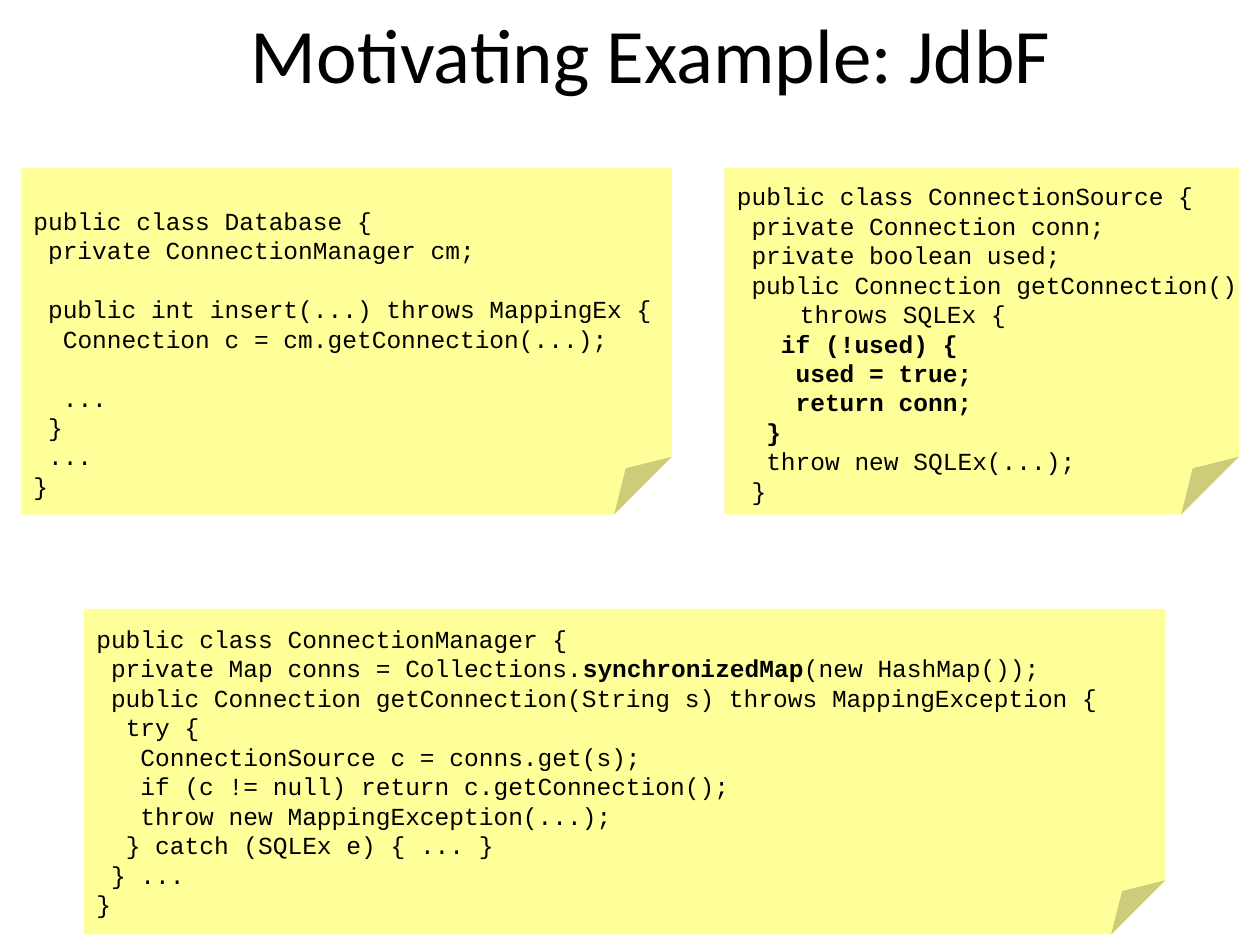
from pptx import Presentation
from pptx.dml.color import RGBColor
from pptx.enum.shapes import MSO_SHAPE as Shape
from pptx.enum.text import MSO_ANCHOR as Anchor, PP_ALIGN as Align
from pptx.util import Pt

CODE_SIZE = 14
CHAR_WIDTH = 0.6 * CODE_SIZE
LINE_HEIGHT = 16.85


def color(hex_code):
    return RGBColor.from_string(hex_code)


# Code listings: leading spaces become indents, empty lines become spacing,
# and ** switches bold on or off
connection_source = """\
public class ConnectionSource {
 private Connection conn;
 private boolean used;
 public Connection getConnection()
\tthrows SQLEx {
   **if (!used) {**
    **used = true;**
    **return conn;**
  **}**
  throw new SQLEx(...);
 }"""

database = """\
public class Database {
 private ConnectionManager cm;

 public int insert(...) throws MappingEx {
  Connection c = cm.getConnection(...);

  ...
 }
 ...
}"""

connection_manager = """\
public class ConnectionManager {
 private Map conns = Collections.**synchronizedMap**(new HashMap());
 public Connection getConnection(String s) throws MappingException {
  try {
   ConnectionSource c = conns.get(s);
   if (c != null) return c.getConnection();
   throw new MappingException(...);
  } catch (SQLEx e) { ... }
 } ...
}"""

# Note rectangle, code rectangle (left, top, width, height), listing
notes = [
    ((414, 96, 294, 198), (414, 100, 324, 194), connection_source),
    ((48, 348, 618, 186), (48, 353, 612, 177), connection_manager),
    ((12, 96, 372, 198), (12, 114, 378, 177), database),
]

prs = Presentation()
prs.slide_width, prs.slide_height = Pt(720), Pt(540)
slide = prs.slides.add_slide(prs.slide_layouts[5])

# Title
title = slide.shapes.title
title.left, title.top, title.width, title.height = Pt(66), Pt(-6), Pt(612), Pt(72)
title.text_frame.text = "Motivating Example: JdbF"
title.text_frame.vertical_anchor = Anchor.MIDDLE
heading = title.text_frame.paragraphs[0]
heading.alignment = Align.CENTER
heading.font.name, heading.font.size = "Calibri", Pt(44)
heading.font.color.rgb = color("000000")

for note_rect, code_rect, listing in notes:
    # Yellow note
    note = slide.shapes.add_shape(Shape.FOLDED_CORNER, *map(Pt, note_rect))
    note.shadow.inherit = False
    note.fill.solid()
    note.fill.fore_color.rgb = color("FFFF99")
    note.line.fill.background()

    # Code on the note
    code = slide.shapes.add_textbox(*map(Pt, code_rect)).text_frame
    code.word_wrap = True
    line = code.paragraphs[0]
    gap = 0
    for row, source in enumerate(listing.splitlines()):
        if not source:
            gap += LINE_HEIGHT
            continue
        if row:
            line = code.add_paragraph()
        statement = source.lstrip(" ")
        margin = Pt(CHAR_WIDTH * (len(source) - len(statement)))
        properties = line._p.get_or_add_pPr()
        properties.set("marL", str(margin))
        properties.set("indent", "0")
        line.line_spacing = Pt(LINE_HEIGHT)
        line.space_before = Pt(gap)
        line.font.name, line.font.size = "Courier New", Pt(CODE_SIZE)
        line.font.color.rgb = color("000000")
        gap = 0
        for part, words in enumerate(statement.split("**")):
            if words:
                run = line.add_run()
                run.text = words
                run.font.bold = part % 2 == 1

prs.save("out.pptx")
